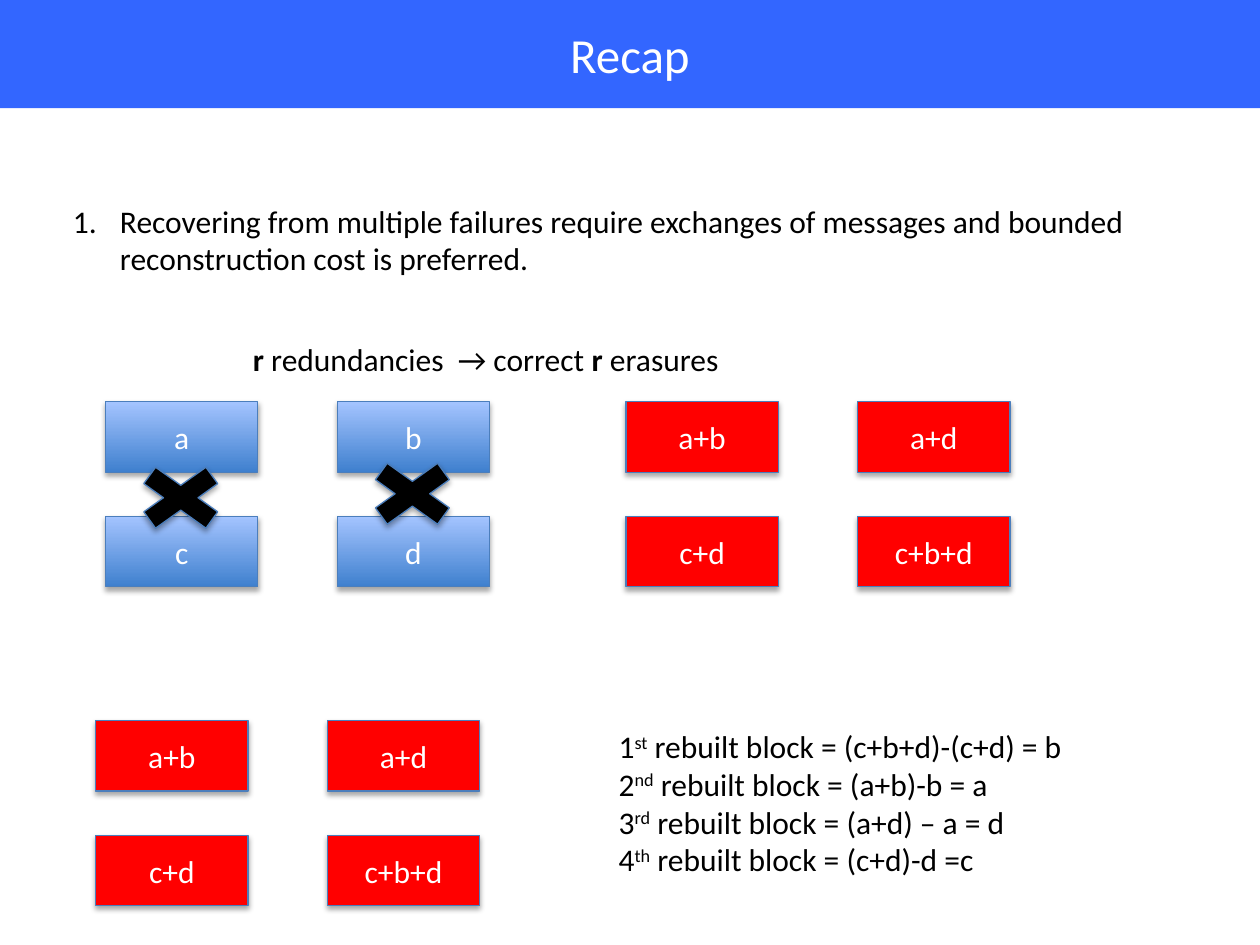
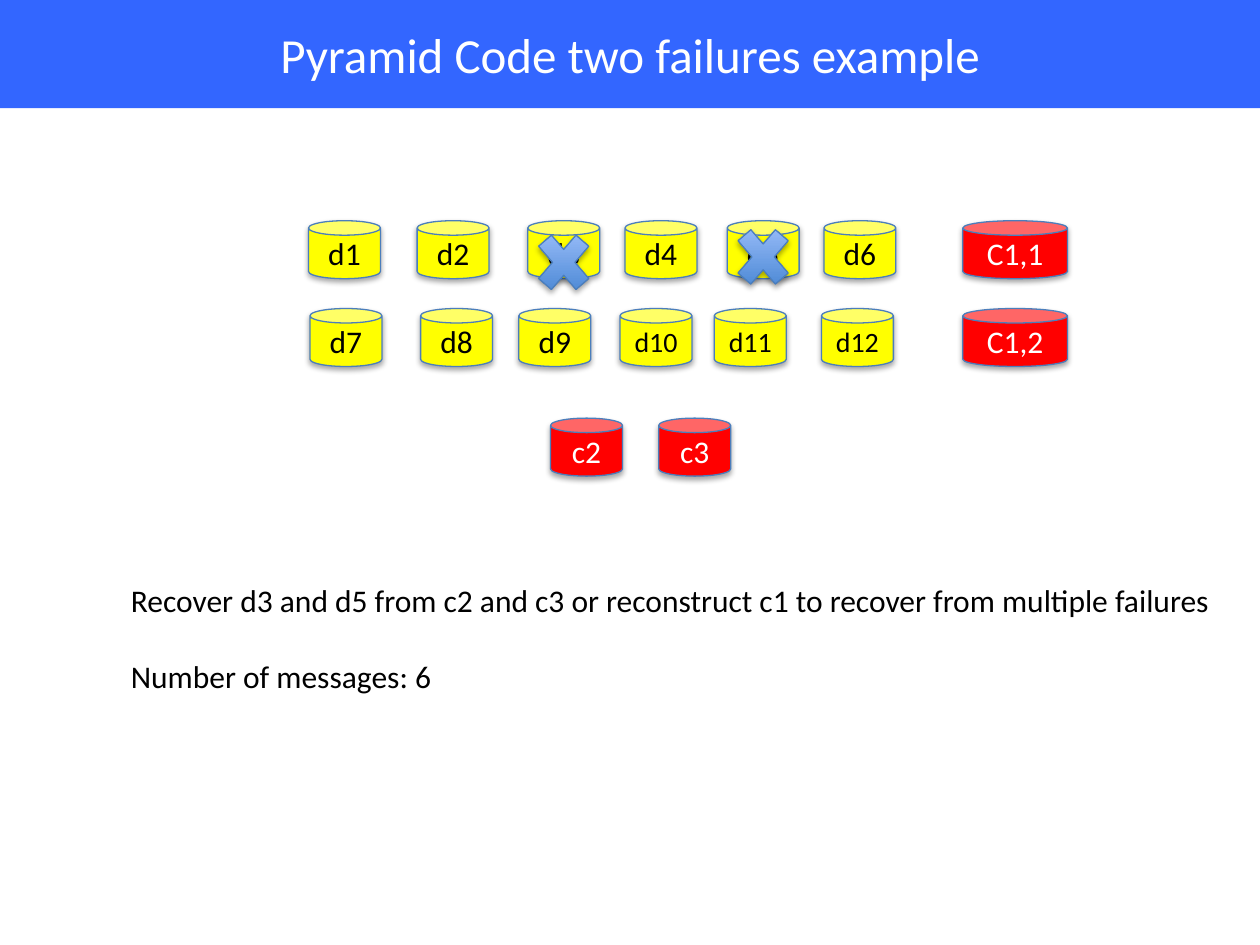
from lxml.etree import SubElement
from pptx import Presentation
from pptx.dml.color import RGBColor
from pptx.enum.shapes import MSO_SHAPE
from pptx.enum.text import MSO_ANCHOR, PP_ALIGN
from pptx.oxml.ns import qn
from pptx.util import Cm, Pt

COLOURS = {
    "band": "3366FF", "white": "FFFFFF", "black": "000000", "outline": "4B7EBC",
    "parity": "FF0000", "disk": "FFFF00", "blue_dark": "3F80CE", "blue_light": "A4C4FF",
}
FONT = "Calibri"
BODY_SIZE = 18

# Content: recap slide (lengths in cm)
RECAP_TITLE = "Recap"
LESSON = ["Recovering from multiple failures require exchanges of messages and bounded ",
          "reconstruction cost is preferred."]
RULE = [("r", "bold"), (" redundancies  → correct ", ""), ("r", "bold"), (" erasures", "")]
REBUILT = [
    ("1", "st", "(c+b+d)-(c+d) = b"),
    ("2", "nd", "(a+b)-b = a"),
    ("3", "rd", "(a+d) – a = d"),
    ("4", "th", "(c+d)-d =c"),
]
DATA = [["a", "b"], ["c", "d"]]
PARITY = [["a+b", "a+d"], ["c+d", "c+b+d"]]
BLOCK_GRIDS = [  # left, top, labels, fill
    (2.13, 8.1, DATA, "gradient"),
    (12.62, 8.1, PARITY, "parity"),
    (1.93, 14.53, PARITY, "parity"),
]
BLOCK_SIZE, BLOCK_PITCH = (3.07, 1.42), (4.67, 2.31)
BLOCK_FAILURES = [(2.44, 9.17), (7.11, 9.09)]
BLOCK_CROSS_SIZE = (2.41, 1.73)

# Content: pyramid code slide
PYRAMID_TITLE = "Pyramid Code two failures example"
DISK_ROWS = [  # top, first number, left edges
    (4.45, 1, [6.22, 8.41, 10.64, 12.6, 14.66, 16.61]),
    (6.22, 7, [6.25, 8.48, 10.46, 12.5, 14.4, 16.56]),
]
DISK_SIZE, GROUP_PARITY_SIZE = (1.45, 1.17), (2.11, 1.17)
PARITY_DISKS = [  # label, left, top, size
    ("c2", 11.1, 8.43, DISK_SIZE), ("c3", 13.28, 8.43, DISK_SIZE),
    ("C1,1", 19.41, 4.45, GROUP_PARITY_SIZE), ("C1,2", 19.41, 6.22, GROUP_PARITY_SIZE),
]
DISK_FAILURES = [(10.64, 4.45), (14.66, 4.34)]
DISK_CROSS_SIZE = (1.45, 1.68)
NOTES = ["Recover d3 and d5 from c2 and c3 or reconstruct c1 to recover from multiple failures",
         "Number of messages: 6"]


def rgb(name):
    return RGBColor.from_string(COLOURS[name])


def add_run(paragraph, text, colour="black", size=BODY_SIZE, style=""):
    run = paragraph.add_run()
    run.text = text
    formats = {"name": FONT, "size": Pt(size), "bold": style == "bold"}
    for attribute, value in formats.items():
        setattr(run.font, attribute, value)
    run.font.color.rgb = rgb(colour)
    if style == "super":
        run.font._element.set("baseline", "30000")


def paint(shape, fill):
    if fill == "gradient":
        shape.fill.gradient()
        shape.fill.gradient_angle = 90
        for stop, name in zip(shape.fill.gradient_stops, ("blue_dark", "blue_light")):
            stop.color.rgb = rgb(name)
    else:
        shape.fill.solid()
        shape.fill.fore_color.rgb = rgb(fill)


def add_shadow(shape):
    effects = shape._element.spPr.find(qn("a:effectLst"))
    shadow = SubElement(effects, qn("a:outerShdw"), blurRad="40000", dist="23000",
                        dir="5400000", rotWithShape="0")
    colour = SubElement(shadow, qn("a:srgbClr"), val=COLOURS["black"])
    SubElement(colour, qn("a:alpha"), val="35000")


def add_figure(slide, kind, place, size, fill, label="", colour="white",
               text_size=BODY_SIZE, outlined=True):
    shape = slide.shapes.add_shape(kind, *map(Cm, place + size))
    shape.shadow.inherit = False
    paint(shape, fill)
    if outlined:
        shape.line.color.rgb = rgb("outline")
        shape.line.width = Pt(0.75)
        add_shadow(shape)
    else:
        shape.line.fill.background()
    if label:
        shape.text_frame.vertical_anchor = MSO_ANCHOR.MIDDLE
        paragraph = shape.text_frame.paragraphs[0]
        paragraph.alignment = PP_ALIGN.CENTER
        add_run(paragraph, label, colour, text_size)


def add_text(slide, place, size, lines):
    """Each line is a list of (text, style) runs; returns the paragraphs."""
    frame = slide.shapes.add_textbox(*map(Cm, place + size)).text_frame
    frame.word_wrap = False
    for index, runs in enumerate(lines):
        paragraph = frame.add_paragraph() if index else frame.paragraphs[0]
        for text, style in runs:
            add_run(paragraph, text, style=style)
    return frame.paragraphs


def add_titled_slide(title):
    slide = presentation.slides.add_slide(presentation.slide_layouts[6])
    add_figure(slide, MSO_SHAPE.RECTANGLE, (0, 0), (25.4, 2.18), "band", title,
               text_size=28, outlined=False)
    return slide


def add_crosses(slide, places, size, fill):
    for place in places:
        add_figure(slide, MSO_SHAPE.MATH_MULTIPLY, place, size, fill)


presentation = Presentation()
presentation.slide_width, presentation.slide_height = Cm(25.4), Cm(19.05)

# Recap: numbered lesson
recap = add_titled_slide(RECAP_TITLE)
lesson = add_text(recap, (1.22, 3.94), (21.95, 2.57), [[(LESSON[0], "")]])[0]
lesson.add_line_break()
add_run(lesson, LESSON[1])
properties = lesson._p.get_or_add_pPr()
properties.set("marL", str(Cm(0.95)))
properties.set("indent", str(-Cm(0.95)))
SubElement(properties, qn("a:buFont"), typeface="+mj-lt")
SubElement(properties, qn("a:buAutoNum"), type="arabicPeriod")

# Recap: blocks, failures and rebuilding steps
for left, top, labels, fill in BLOCK_GRIDS:
    for row, row_labels in enumerate(labels):
        for column, label in enumerate(row_labels):
            place = (left + column * BLOCK_PITCH[0], top + row * BLOCK_PITCH[1])
            add_figure(recap, MSO_SHAPE.RECTANGLE, place, BLOCK_SIZE, fill, label)
add_text(recap, (4.85, 6.73), (10.08, 1.02), [RULE])
add_crosses(recap, BLOCK_FAILURES, BLOCK_CROSS_SIZE, "black")
add_text(recap, (12.22, 14.53), (9.6, 3.33),
         [[(number, ""), (suffix, "super"), (f" rebuilt block = {formula}", "")]
          for number, suffix, formula in REBUILT])

# Pyramid code: disks, failures and conclusion
pyramid = add_titled_slide(PYRAMID_TITLE)
for label, left, top, size in PARITY_DISKS:
    add_figure(pyramid, MSO_SHAPE.CAN, (left, top), size, "parity", label)
for top, first, edges in DISK_ROWS:
    for number, left in enumerate(edges, first):
        add_figure(pyramid, MSO_SHAPE.CAN, (left, top), DISK_SIZE, "disk", f"d{number}",
                   "black", 16 if number > 9 else BODY_SIZE)
add_crosses(pyramid, DISK_FAILURES, DISK_CROSS_SIZE, "gradient")
notes = add_text(pyramid, (2.39, 11.58), (22.61, 2.57), [[(note, "")] for note in NOTES])
notes[1].space_before = Pt(22)

presentation.save("out.pptx")
